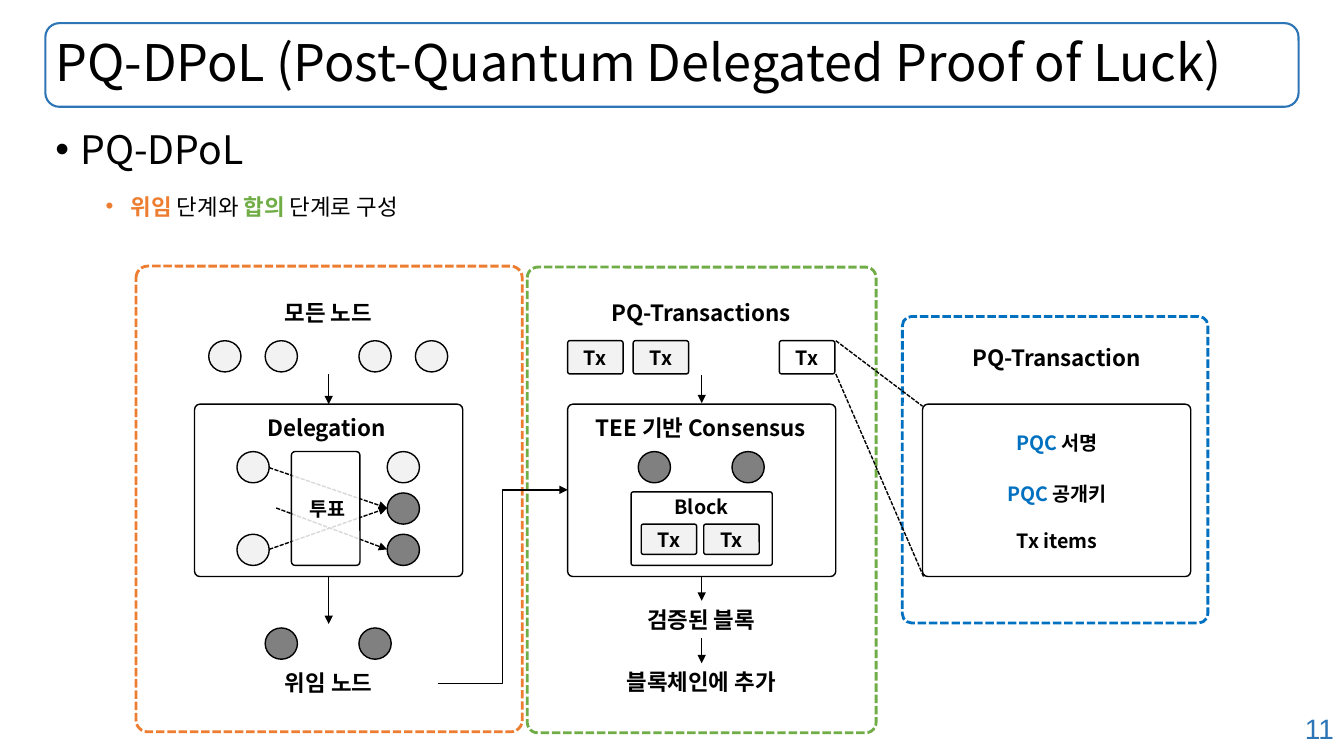
from pptx import Presentation
from pptx.util import Inches, Pt
from pptx.dml.color import RGBColor as Rgb
from pptx.enum.dml import MSO_LINE as Dash
from pptx.enum.shapes import MSO_SHAPE as Form, MSO_CONNECTOR as Link
from pptx.enum.text import PP_ALIGN as Align, MSO_ANCHOR as Anchor, MSO_AUTO_SIZE as Fit
from pptx.oxml.ns import qn
from lxml.etree import SubElement as Sub

HUES = {
    "black": "000000", "white": "FFFFFF", "pale": "F2F2F2", "grey": "808080",
    "navy": "2E75B6", "blue": "0070C0", "orange": "ED7D31", "green": "70AD47",
}


class Board:
    def __init__(self, slide, face):
        self.slide = slide
        self.face = face

    def hue(self, name):
        return Rgb.from_string(HUES[name])

    def apply(self, target, form):
        for key, value in form.items():
            setattr(target, key, value)

    def words(self, para, runs, size, bold=True, face=None, **form):
        self.apply(para, form)
        name = face or self.face
        for part, hue, *weight in runs:
            run = para.add_run()
            run.text = part
            self.apply(run.font, {"size": Pt(size), "name": name, "bold": weight[0] if weight else bold})
            run.font.color.rgb = self.hue(hue)
            Sub(run.font._element, qn("a:ea")).set("typeface", name)

    def frame(self, shape, anchor):
        frame = shape.text_frame
        self.apply(frame, {"word_wrap": True, "auto_size": Fit.NONE, "vertical_anchor": anchor})
        return frame

    def title(self, box, text):
        head = self.slide.shapes.title
        self.apply(head, dict(zip(("left", "top", "width", "height"), map(Inches, box))))
        para = self.frame(head, Anchor.MIDDLE).paragraphs[0]
        self.words(para, [(text, "black")], 36, False, alignment=Align.LEFT, line_spacing=0.9)

    def text(self, box, runs, size=16, bold=True, face=None, align=Align.CENTER):
        if isinstance(runs, str):
            runs = [(runs, "black")]
        shape = self.slide.shapes.add_textbox(*map(Inches, box))
        para = self.frame(shape, Anchor.TOP).paragraphs[0]
        self.words(para, runs, size, bold, face, alignment=align)

    def points(self, box, items):
        shape = self.slide.shapes.add_textbox(*map(Inches, box))
        frame = self.frame(shape, Anchor.TOP)
        for i, (runs, size, left, gap) in enumerate(items):
            para = frame.add_paragraph() if i else frame.paragraphs[0]
            props = para._p.get_or_add_pPr()
            props.set("marL", str(Inches(left)))
            props.set("indent", str(Inches(-0.25)))
            Sub(props, qn("a:buFont")).set("typeface", "Arial")
            Sub(props, qn("a:buChar")).set("char", "•")
            self.words(para, runs, size, False, line_spacing=1.5, space_before=Pt(gap))

    def shape(self, form, box, fill=None, line="black", width=1, dash=None, adj=None, clear=None, runs=None, size=14):
        shape = self.slide.shapes.add_shape(form, *map(Inches, box))
        shape.shadow.inherit = False
        if adj is not None:
            shape.adjustments[0] = adj
        if fill:
            shape.fill.solid()
            shape.fill.fore_color.rgb = self.hue(fill)
            if clear:
                tone = shape._element.spPr.find(".//" + qn("a:srgbClr"))
                Sub(tone, qn("a:alpha")).set("val", str(clear * 1000))
        else:
            shape.fill.background()
        if line:
            shape.line.color.rgb = self.hue(line)
            self.apply(shape.line, {"width": Pt(width), "dash_style": dash})
        else:
            shape.line.fill.background()
        if runs:
            para = self.frame(shape, Anchor.MIDDLE).paragraphs[0]
            self.words(para, runs, size, alignment=Align.CENTER)

    def panel(self, box, adj=0.031, **form):
        self.shape(Form.ROUNDED_RECTANGLE, box, adj=adj, **form)

    def zone(self, box, hue):
        self.panel(box, 0.03, fill="white", clear=15, line=hue, width=2, dash=Dash.SQUARE_DOT)

    def chip(self, left, top, high=0.33, fill="pale"):
        self.panel((left, top, 0.55, high), 0.07, fill=fill, runs=[("Tx", "black")])

    def label(self, box, runs, size=14):
        self.panel(box, 0.07, line=None, runs=runs, size=size)

    def node(self, left, top, fill="pale"):
        self.shape(Form.OVAL, (left, top, 0.32, 0.31), fill=fill)

    def link(self, start, end, dash=None, head=True, kind=Link.STRAIGHT):
        link = self.slide.shapes.add_connector(kind, *map(Inches, start + end))
        link.line.color.rgb = self.hue("black")
        self.apply(link.line, {"width": Pt(1), "dash_style": dash})
        props = link._element.spPr
        if head:
            Sub(props.find(qn("a:ln")), qn("a:tailEnd")).set("type", "triangle")
        Sub(props, qn("a:effectLst"))


def main():
    deck = Presentation()
    deck.slide_width, deck.slide_height = Inches(13.33), Inches(7.5)
    board = Board(deck.slides.add_slide(deck.slide_layouts[5]), "Noto Sans CJK KR")
    dots = Dash.SQUARE_DOT

    bar = (0.45, 0.23, 12.43, 0.83)
    board.panel(bar, 0.167, line="navy", width=1.5)
    board.title(bar, "PQ-DPoL (Post-Quantum Delegated Proof of Luck)")
    board.text((9.43, 7.01, 3.9, 0.44), [("11", "navy")], 20, False, "Arial", Align.RIGHT)
    steps = [("위임", "orange", True), (" 단계와 ", "black"), ("합의", "green", True), (" 단계로 구성", "black")]
    board.points((0.45, 0.96, 12.43, 5.83), [
        ([("PQ-DPoL", "black")], 28, 0.25, 0),
        (steps, 16, 0.75, 5),
    ])

    board.zone((1.35, 2.64, 3.83, 4.62), "orange")
    board.zone((5.23, 2.65, 3.46, 4.62), "green")
    board.zone((8.95, 3.14, 3.03, 3.04), "blue")
    for left in (1.93, 5.63, 9.15):
        board.panel((left, 4.01, 2.66, 1.71), fill="white")

    for top, text in ((2.92, "PQ-Transactions"), (5.96, "검증된 블록"), (6.58, "블록체인에 추가")):
        board.text((5.42, top, 3.07, 0.37), text)
    board.text((5.36, 4.06, 3.18, 0.37), "TEE 기반 Consensus")
    for left, fill in ((5.63, "pale"), (6.28, "pale"), (7.73, "white")):
        board.chip(left, 3.38, fill=fill)
    for left in (6.33, 7.26):
        board.node(left, 4.48, "grey")
    board.panel((6.26, 4.88, 1.4, 0.73), fill="white")
    for left in (6.36, 6.98):
        board.chip(left, 5.2, 0.3)
    board.text((6.38, 4.86, 1.16, 0.34), "Block", 14)
    for top, end in ((3.72, 4), (5.72, 5.96), (6.33, 6.58)):
        board.link((6.96, top), (6.96, end))

    board.label((9.23, 3.38, 2.5, 0.33), [("PQ-Transaction", "black")], 16)
    for top, runs in (
        (4.23, [("PQC ", "blue"), ("서명", "black")]),
        (4.73, [("PQC ", "blue"), ("공개키", "black")]),
        (5.2, [("Tx items", "black")]),
    ):
        board.label((9.14, top, 2.69, 0.33), runs)
    board.link((8.29, 3.38), (9.15, 4.03), dots, False)
    board.link((8.29, 3.71), (9.16, 5.72), dots, False)

    board.text((1.65, 4.06, 3.18, 0.37), "Delegation")
    board.text((1.62, 2.92, 3.27, 0.37), "모든 노드")
    board.text((2.18, 6.59, 2.16, 0.37), "위임 노드")
    for left in (2.07, 2.63, 3.56, 4.12):
        board.node(left, 3.38)
    for left in (2.63, 3.56):
        board.node(left, 6.23, "grey")
    for top, fill in ((4.48, "pale"), (4.89, "grey"), (5.3, "grey")):
        board.node(3.84, top, fill)
    for top in (4.48, 5.3):
        board.node(2.35, top)
    for start, end in (((2.67, 4.64), 5.04), ((2.67, 5.45), 5.04), ((2.74, 5.04), 5.45)):
        board.link(start, (3.84, end), dots)
    board.panel((2.9, 4.51, 0.67, 1.1), 0.087, fill="white", line=None, clear=85)
    board.text((2.85, 4.88, 0.8, 0.34), "투표", 14)
    board.panel((2.89, 4.48, 0.68, 1.13), 0.054)
    for top, end in ((3.71, 4.01), (5.72, 6.19)):
        board.link((3.26, top), (3.26, end))
    board.link((4.34, 6.78), (5.63, 4.86), kind=Link.ELBOW)

    deck.save("out.pptx")


if __name__ == "__main__":
    main()
